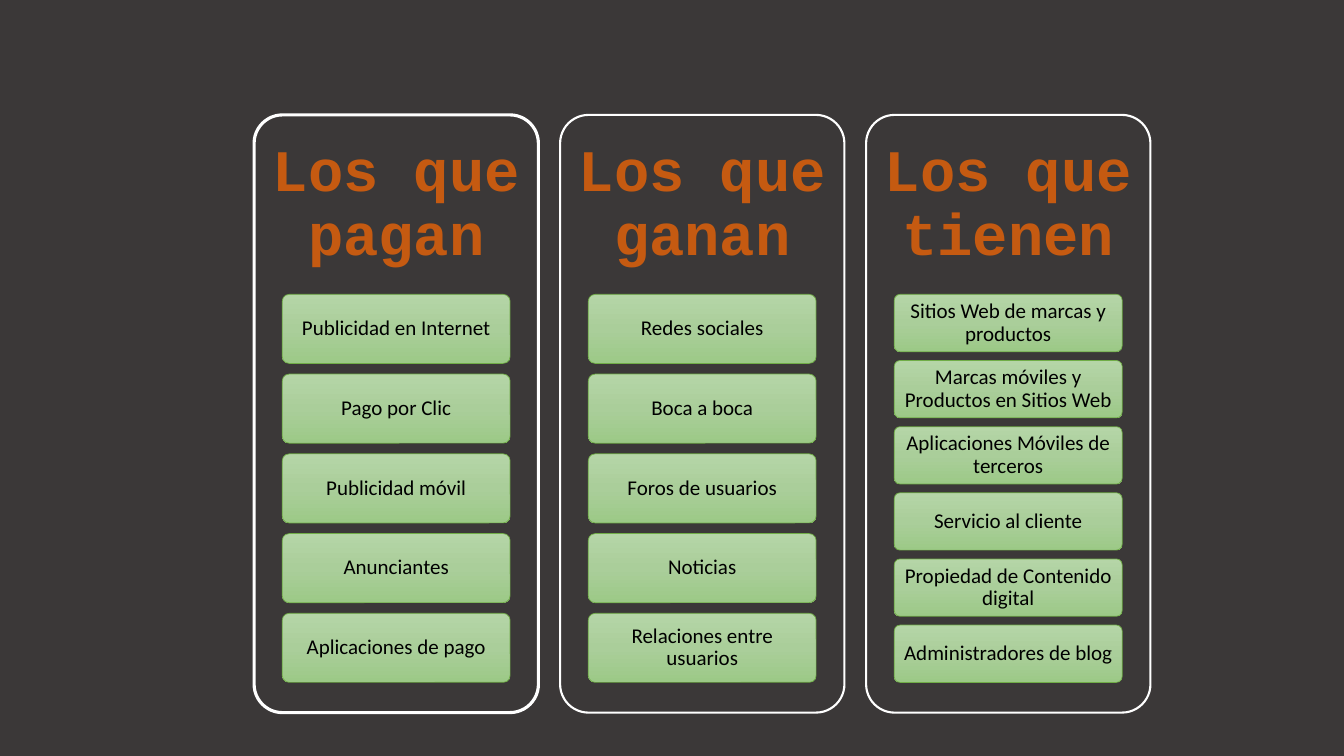
from copy import deepcopy
from dataclasses import dataclass

from pptx import Presentation
from pptx.dml.color import RGBColor
from pptx.enum import shapes, text
from pptx.oxml import ns
from pptx.util import Inches, Pt


@dataclass(frozen=True)
class Theme:
    """Colours, fonts and sizes of the slide."""
    background: str = "3B3838"
    panel_line: str = "FFFFFF"
    heading: str = "C55A11"
    heading_font: str = "Courier New"
    heading_size: float = 42
    card_text: str = "000000"
    card_font: str = "Calibri"
    card_size: float = 15
    card_line: str = "70AD47"
    card_gradient: tuple = ((0, "B5D5A7"), (0.5, "AACE9A"), (1, "9CC987"))


THEME = Theme()
COLUMNS = [
    ("Los que pagan", 2.25, [
        "Publicidad en Internet", "Pago por Clic", "Publicidad móvil",
        "Anunciantes", "Aplicaciones de pago"]),
    ("Los que ganan", 1.5, [
        "Redes sociales", "Boca a boca", "Foros de usuarios", "Noticias",
        "Relaciones entre usuarios"]),
    ("Los que tienen", 1.5, [
        "Sitios Web de marcas y productos",
        "Marcas móviles y Productos en Sitios Web",
        "Aplicaciones Móviles de terceros", "Servicio al cliente",
        "Propiedad de Contenido digital", "Administradores de blog"]),
]
PANEL_LEFT, PANEL_TOP, PANEL_WIDTH, PANEL_HEIGHT = 2.52, 1.14, 2.82, 5.93
PANEL_STEP = 3.035
HEADING_HEIGHT = 1.78
CARD_WIDTH = 2.26
CARDS_TOP, CARDS_HEIGHT = 2.92, 3.85
GAP_RATIO = 2 / 13


def write_text(shape, content, font_name, size, color, margins, bold=False):
    """Write one centred paragraph inside a shape."""
    frame = shape.text_frame
    frame.word_wrap = True
    frame.vertical_anchor = text.MSO_ANCHOR.MIDDLE
    frame.margin_left = frame.margin_right = Inches(margins[0])
    frame.margin_top = frame.margin_bottom = Inches(margins[1])
    paragraph = frame.paragraphs[0]
    paragraph.alignment = text.PP_ALIGN.CENTER
    paragraph.line_spacing = 0.9
    run = paragraph.add_run()
    run.text = content
    run.font.name = font_name
    run.font.size = Pt(size)
    run.font.bold = bold
    run.font.color.rgb = RGBColor.from_string(color)


def add_rounded(group, left, top, width, height, line_color, line_width):
    """Add a rounded rectangle with an outline."""
    shape = group.shapes.add_shape(
        shapes.MSO_SHAPE.ROUNDED_RECTANGLE,
        Inches(left), Inches(top), Inches(width), Inches(height))
    shape.shadow.inherit = False
    shape.adjustments[0] = 0.1
    shape.line.color.rgb = RGBColor.from_string(line_color)
    shape.line.width = Pt(line_width)
    return shape


def fill_gradient(shape, stops):
    """Fill a shape with a three-stop gradient from top to bottom."""
    shape.fill.gradient()
    shape.fill.gradient_angle = 270
    stop_list = shape._element.spPr.find(".//" + ns.qn("a:gsLst"))
    stop_list.insert(1, deepcopy(stop_list[0]))
    for stop, (position, color) in zip(shape.fill.gradient_stops, stops):
        stop.position = position
        stop.color.rgb = RGBColor.from_string(color)


def add_panel(group, left, heading, line_width):
    """Add a column outline and its heading."""
    panel = add_rounded(group, left, PANEL_TOP, PANEL_WIDTH, PANEL_HEIGHT,
                        THEME.panel_line, line_width)
    panel.fill.background()
    box = group.shapes.add_textbox(
        Inches(left), Inches(PANEL_TOP), Inches(PANEL_WIDTH), Inches(HEADING_HEIGHT))
    write_text(box, heading, THEME.heading_font, THEME.heading_size,
               THEME.heading, (0.17, 0.17), bold=True)


def add_cards(group, left, labels):
    """Stack equal cards over the height kept for them."""
    count = len(labels)
    height = CARDS_HEIGHT / (count + (count - 1) * GAP_RATIO)
    for index, label in enumerate(labels):
        top = CARDS_TOP + index * height * (1 + GAP_RATIO)
        card = add_rounded(group, left, top, CARD_WIDTH, height, THEME.card_line, 0.5)
        fill_gradient(card, THEME.card_gradient)
        write_text(card, label, THEME.card_font, THEME.card_size,
                   THEME.card_text, (0.04, 0.03))


def main():
    """Build the slide and save it."""
    presentation = Presentation()
    presentation.slide_width = Inches(13.33)
    presentation.slide_height = Inches(7.5)
    slide = presentation.slides.add_slide(presentation.slide_layouts[6])
    slide.background.fill.solid()
    slide.background.fill.fore_color.rgb = RGBColor.from_string(THEME.background)
    group = slide.shapes.add_group_shape()
    for index, (heading, line_width, labels) in enumerate(COLUMNS):
        left = PANEL_LEFT + index * PANEL_STEP
        add_panel(group, left, heading, line_width)
        add_cards(group, left + (PANEL_WIDTH - CARD_WIDTH) / 2, labels)
    presentation.save("out.pptx")


if __name__ == "__main__":
    main()
